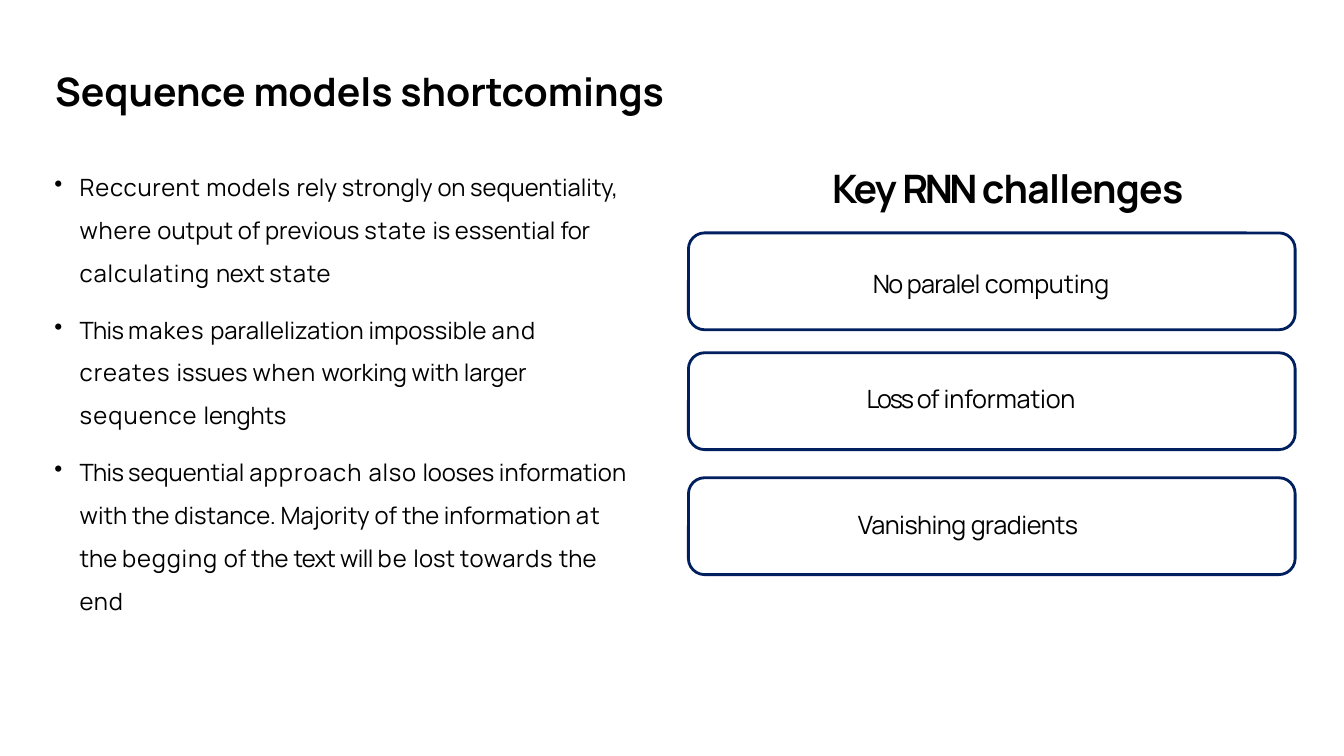
from lxml import etree
from pptx import Presentation
from pptx import util as u
from pptx.dml.color import RGBColor
from pptx.enum import shapes, text
from pptx.oxml.ns import qn

FACE = "Manrope"
BLACK = "000000"
NAVY = "001F5F"

# Each run is its text and its letter spacing in hundredths of a point.
POINTS = [
    [("Reccurent models ", 50), ("rely strongly ", 0), ("on ", -20),
     ("sequentiality, ", 0), ("where ", 50), ("output of previous ", 0),
     ("state ", 60), ("is ", -20), ("essential ", 0), ("for ", -30),
     ("calculating ", 60), ("next ", -20), ("state", 50)],
    [("This ", -50), ("makes ", 70), ("parallelization impossible ", 0),
     ("and ", 80), ("creates ", 70), ("issues ", 0), ("when ", 60),
     ("working ", -10), ("with ", 0), ("larger ", -10), ("sequence ", 80),
     ("lenghts", -10)],
    [("This ", -50), ("sequential ", 0), ("approach ", 80), ("also ", 50),
     ("looses ", -10), ("information with the distance. Majority of ", 0),
     ("the ", -20), ("information ", 0), ("at ", 90), ("the ", 0),
     ("begging ", 60), ("of the ", 0), ("text ", -50), ("will ", -40),
     ("be ", 70), ("lost ", 0), ("towards ", 50), ("the ", 0), ("end", 50)],
]
GAPS = [1, 10.1, 9.9]

TITLE = [("Sequence models shortcomings", 0)]
HEAD = [("Key ", -150), ("RNN ", -250), ("challenges", -50)]

# Top of the card, place of its label, runs of the label.
CARDS = [
    (5.87, (20.62, 6.73, 8.71, 0.82),
     [("No ", -110), ("paralel ", -50), ("computing", -10)]),
    (8.89, (21.84, 9.63, 6.3, 0.84),
     [("Loss ", -160), ("of ", -70), ("information", -20)]),
    (12.04, (21.62, 12.8, 6.73, 0.84),
     [("Vanishing ", -40), ("gradients", -30)]),
]


def color(code):
    return RGBColor.from_string(code)


def add_box(slide, place, inset=True):
    box = slide.shapes.add_textbox(*(u.Cm(n) for n in place))
    frame = box.text_frame
    frame.word_wrap = True
    if not inset:
        frame.margin_left = frame.margin_right = frame.margin_bottom = 0
        frame.margin_top = u.Cm(0.03)
    return frame


def write(para, runs, size, bold=False, before=0):
    """Fill a paragraph with runs that differ only in letter spacing."""
    font = para.font
    font.name, font.size, font.bold = FACE, u.Pt(size), bold
    font.color.rgb = color(BLACK)
    para.space_before = u.Pt(before)
    for words, space in runs:
        run = para.add_run()
        run.text = words
        if space:
            run.font._element.set("spc", str(space))


def add_bullet(para):
    props = para._p.get_or_add_pPr()
    props.set("marL", str(u.Cm(0.66)))
    props.set("indent", str(u.Cm(-0.64)))
    etree.SubElement(props, qn("a:buChar")).set("char", "•")


def add_list(slide, place):
    frame = add_box(slide, place, inset=False)
    for i, (runs, gap) in enumerate(zip(POINTS, GAPS)):
        para = frame.add_paragraph() if i else frame.paragraphs[0]
        add_bullet(para)
        para.line_spacing = 1.5
        write(para, runs, 17, before=gap)


def add_card(slide, top, place, runs, align, before):
    card = slide.shapes.add_shape(
        shapes.MSO_SHAPE.ROUNDED_RECTANGLE,
        u.Cm(17.35), u.Cm(top), u.Cm(15.29), u.Cm(2.44))
    card.shadow.inherit = False
    card.fill.background()
    card.line.color.rgb = color(NAVY)
    card.line.width = u.Pt(2)
    para = add_box(slide, place, inset=False).paragraphs[0]
    para.alignment = align
    write(para, runs, 18, before=before)


def main():
    deck = Presentation()
    deck.slide_width, deck.slide_height = u.Cm(33.87), u.Cm(19.05)
    slide = deck.slides.add_slide(deck.slide_layouts[6])
    align = text.PP_ALIGN

    add_list(slide, (1.35, 3.96, 14.6, 11.58))
    for i, (top, place, runs) in enumerate(CARDS):
        side, gap = (align.LEFT, 1) if i else (align.CENTER, 0)
        add_card(slide, top, place, runs, side, gap)

    title = add_box(slide, (1.14, 1.57, 31.6, 1.45))
    write(title.paragraphs[0], TITLE, 28, bold=True)
    head = add_box(slide, (20.24, 4.11, 10.31, 1.24), inset=False)
    head.paragraphs[0].alignment = align.CENTER
    write(head.paragraphs[0], HEAD, 28, bold=True, before=1)

    deck.save("out.pptx")


if __name__ == "__main__":
    main()
